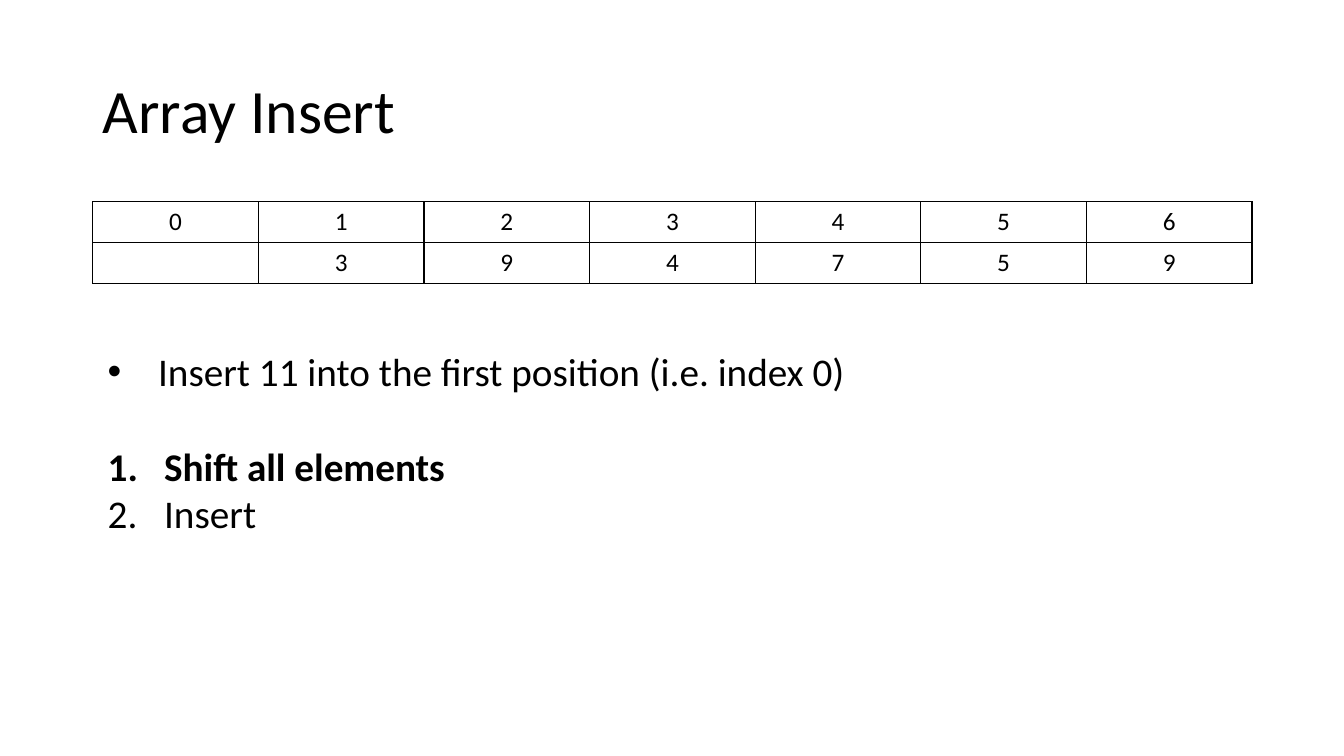
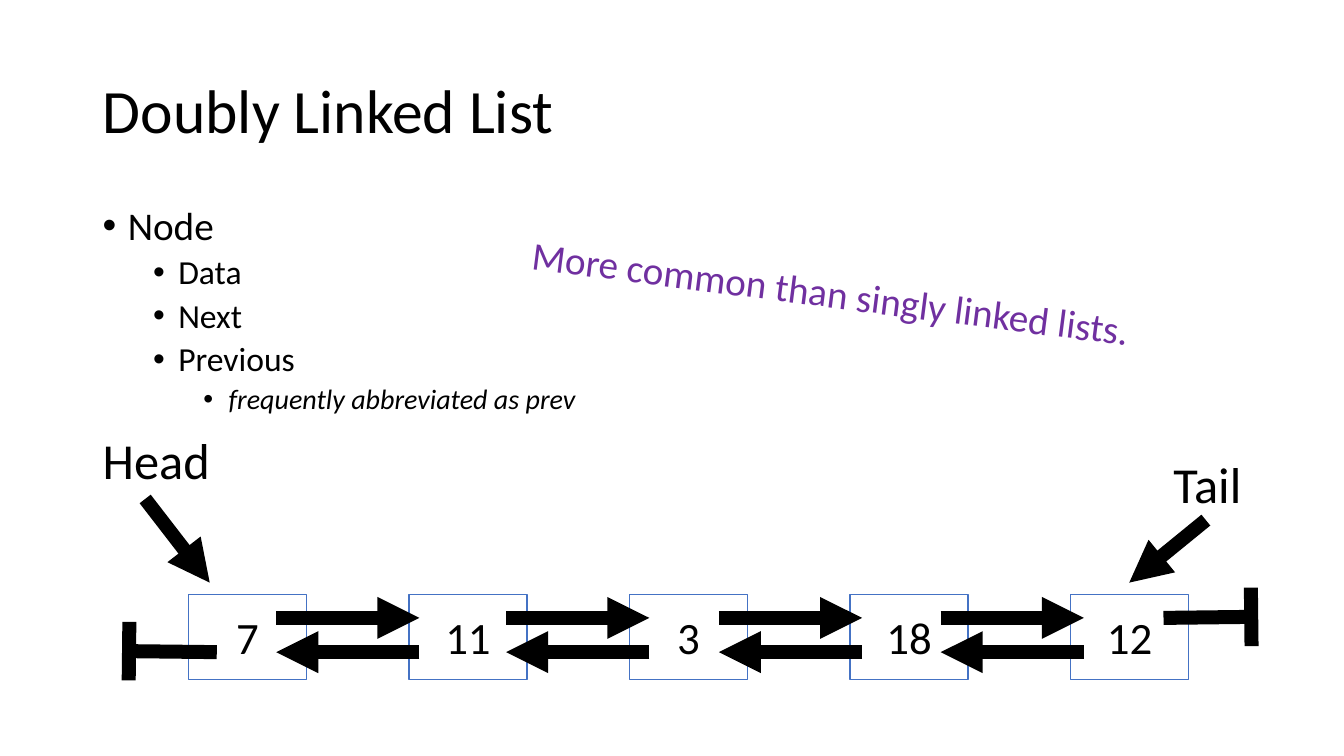
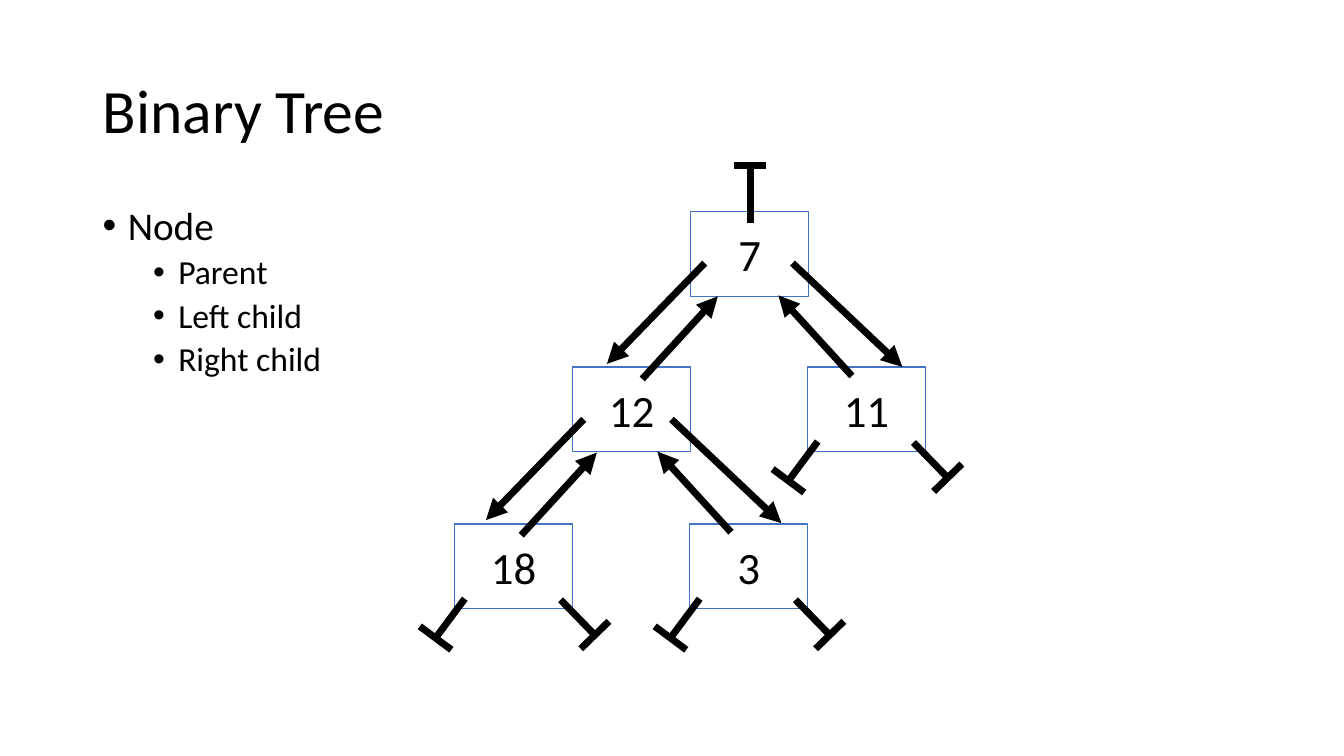
from math import hypot

from lxml.etree import SubElement
from pptx import Presentation
from pptx.dml.color import RGBColor
from pptx.enum.shapes import MSO_CONNECTOR, MSO_SHAPE
from pptx.enum.text import MSO_ANCHOR, MSO_AUTO_SIZE, PP_ALIGN
from pptx.oxml.ns import qn
from pptx.util import Inches, Pt

BLACK = "000000"
WHITE = "FFFFFF"
BLUE = "4472C4"
PURPLE = "7030A0"
NODE_WIDTH, NODE_HEIGHT = 1.17, 0.84


def color(value):
    return RGBColor.from_string(value)


def write(paragraph, text, size=28, ink=BLACK, bold=False, italic=False,
          align=PP_ALIGN.LEFT, spacing=1.0, before=0, level=0,
          bullet=None, indent=0, hanging=0):
    paragraph.alignment = align
    paragraph.line_spacing = spacing
    paragraph.space_before = Pt(before)
    paragraph.level = level
    run = paragraph.add_run()
    run.text = text
    run.font.name = "Calibri"
    run.font.size = Pt(size)
    run.font.bold = bold
    run.font.italic = italic
    run.font.color.rgb = color(ink)
    if bullet:
        properties = paragraph._p.get_or_add_pPr()
        properties.set("marL", str(Inches(indent)))
        properties.set("indent", str(-Inches(hanging)))
        if bullet == "number":
            SubElement(properties, qn("a:buAutoNum"), type="arabicPeriod")
        else:
            SubElement(properties, qn("a:buFont"), typeface="Arial")
            SubElement(properties, qn("a:buChar"), char=bullet)


class Deck:
    def __init__(self):
        self.presentation = Presentation()
        self.presentation.slide_width = Inches(13.33)
        self.presentation.slide_height = Inches(7.5)
        self.slide = None

    def start(self, heading):
        layout = self.presentation.slide_layouts.get_by_name("Title Only")
        self.slide = self.presentation.slides.add_slide(layout)
        title = self.slide.shapes.title
        title.left, title.top = Inches(0.92), Inches(0.4)
        title.width, title.height = Inches(11.5), Inches(1.45)
        frame = title.text_frame
        frame.auto_size = MSO_AUTO_SIZE.NONE
        frame.vertical_anchor = MSO_ANCHOR.MIDDLE
        write(frame.paragraphs[0], heading, size=44, spacing=0.9)

    def text(self, left, top, width, height, lines, wrap=False, rotation=0):
        box = self.slide.shapes.add_textbox(
            Inches(left), Inches(top), Inches(width), Inches(height))
        box.rotation = rotation
        frame = box.text_frame
        frame.word_wrap = wrap
        frame.auto_size = (MSO_AUTO_SIZE.NONE if wrap
                           else MSO_AUTO_SIZE.SHAPE_TO_FIT_TEXT)
        for index, (line, style) in enumerate(lines):
            paragraph = frame.add_paragraph() if index else frame.paragraphs[0]
            write(paragraph, line, **style)

    def outline(self, entries):
        sizes = (28, 24, 20)
        lines = [(entry, dict(size=sizes[level], level=level, italic=level == 2,
                              spacing=0.9, before=5 if level else 10,
                              bullet="•", indent=0.25 + level / 2, hanging=0.25))
                 for level, entry in entries]
        self.text(0.92, 2, 11.5, 4.76, lines, wrap=True)

    def table(self, left, top, width, height, rows):
        grid = self.slide.shapes.add_table(
            len(rows), len(rows[0]), Inches(left), Inches(top),
            Inches(width), Inches(height)).table
        grid.first_row = grid.horz_banding = False
        for row, values in enumerate(rows):
            for column, value in enumerate(values):
                cell = grid.cell(row, column)
                if value:
                    write(cell.text_frame.paragraphs[0], value, size=18,
                          align=PP_ALIGN.CENTER)
                properties = cell._tc.get_or_add_tcPr()
                for side in ("L", "R", "T", "B"):
                    border = SubElement(properties, qn(f"a:ln{side}"), w=str(Pt(1)))
                    fill = SubElement(border, qn("a:solidFill"))
                    SubElement(fill, qn("a:srgbClr"), val=BLACK)
                cell.fill.background()

    def node(self, left, top, value):
        box = self.slide.shapes.add_shape(
            MSO_SHAPE.RECTANGLE, Inches(left), Inches(top),
            Inches(NODE_WIDTH), Inches(NODE_HEIGHT))
        box.shadow.inherit = False
        box.fill.solid()
        box.fill.fore_color.rgb = color(WHITE)
        box.line.color.rgb = color(BLUE)
        box.line.width = Pt(1)
        box.text_frame.vertical_anchor = MSO_ANCHOR.MIDDLE
        write(box.text_frame.paragraphs[0], value, size=32, align=PP_ALIGN.CENTER)

    def line(self, start, end, weight, arrow=False):
        link = self.slide.shapes.add_connector(
            MSO_CONNECTOR.STRAIGHT, *(Inches(value) for value in (*start, *end)))
        link.line.color.rgb = color(BLACK)
        link.line.width = Pt(weight)
        if arrow:
            SubElement(link.line._get_or_add_ln(), qn("a:tailEnd"), type="triangle")
        SubElement(link._element.spPr, qn("a:effectLst"))

    def null_link(self, start, end, weight, bar):
        across, down = end[0] - start[0], end[1] - start[1]
        scale = bar / 2 / hypot(across, down)
        shift_x, shift_y = -down * scale, across * scale
        self.line(start, end, weight)
        self.line((end[0] - shift_x, end[1] - shift_y),
                  (end[0] + shift_x, end[1] + shift_y), weight)


def array_insert(deck):
    deck.start("Array Insert")
    deck.table(0.92, 2, 11.5, 0.81, [list("0123456"), ["", *"394759"]])
    step = dict(bullet="number", indent=0.56, hanging=0.56)
    deck.text(0.97, 3.4, 7.6, 1.99, [
        ("Insert 11 into the first position (i.e. index 0)",
         dict(bullet="•", indent=0.5, hanging=0.5)),
        ("Shift all elements", dict(bold=True, before=34, **step)),
        ("Insert", step),
    ])


def doubly_linked_list(deck):
    weight = 10
    next_y, previous_y = 6.13, 6.47
    deck.start("Doubly Linked List")
    deck.outline([(0, "Node"), (1, "Data"), (1, "Next"), (1, "Previous"),
                  (2, "frequently abbreviated as prev")])
    deck.text(5.16, 2.62, 6.23, 0.57,
              [("More common than singly linked lists.", dict(ink=PURPLE))],
              rotation=7.3)
    deck.text(0.92, 4.21, 1.27, 0.71, [("Head", dict(size=36))])
    deck.text(11.54, 4.45, 0.88, 0.71, [("Tail", dict(size=36))])
    for index, value in enumerate(("7", "11", "3", "18", "12")):
        deck.node(1.87 + index * 8.75 / 4, 5.9, value)
    for left in (2.74, 5.02, 7.13, 9.33):
        right = left + 1.42
        deck.line((left, next_y), (right, next_y), weight, arrow=True)
        deck.line((right, previous_y), (left, previous_y), weight, arrow=True)
    deck.null_link((11.54, 6.13), (12.41, 6.12), weight, 0.58)
    deck.null_link((2.15, 6.47), (1.28, 6.46), weight, 0.58)
    deck.line((1.44, 4.95), (2.08, 5.78), weight, arrow=True)
    deck.line((11.96, 5.16), (11.2, 5.78), weight, arrow=True)


def binary_tree(deck):
    weight = 5
    deck.start("Binary Tree")
    deck.outline([(0, "Node"), (1, "Parent"), (1, "Left child"), (1, "Right child")])
    parents = {"7": (6.85, 2.1), "12": (5.68, 3.64)}
    leaves = {"11": (8.01, 3.64), "3": (6.84, 5.2), "18": (4.51, 5.2)}
    for value, (left, top) in {**parents, **leaves}.items():
        deck.node(left, top, value)
    family_links = (
        ((0.14, 0.51), (-0.83, 1.51)),
        ((1.01, 0.51), (2.1, 1.54)),
        ((-0.48, 1.66), (0.27, 0.84)),
        ((1.6, 1.63), (0.87, 0.83)),
    )
    for left, top in ((6.85, 2.1), (5.65, 3.65)):
        for start, end in family_links:
            deck.line((left + start[0], top + start[1]),
                      (left + end[0], top + end[1]), weight, arrow=True)
    missing_children = (((0.1, 0.74), (-0.19, 1.13)), ((1.05, 0.75), (1.39, 1.1)))
    for left, top in leaves.values():
        for start, end in missing_children:
            deck.null_link((left + start[0], top + start[1]),
                           (left + end[0], top + end[1]), weight, 0.39)
    deck.null_link((7.44, 2.21), (7.44, 1.64), weight, 0.31)


deck = Deck()
array_insert(deck)
doubly_linked_list(deck)
binary_tree(deck)
deck.presentation.save("out.pptx")
